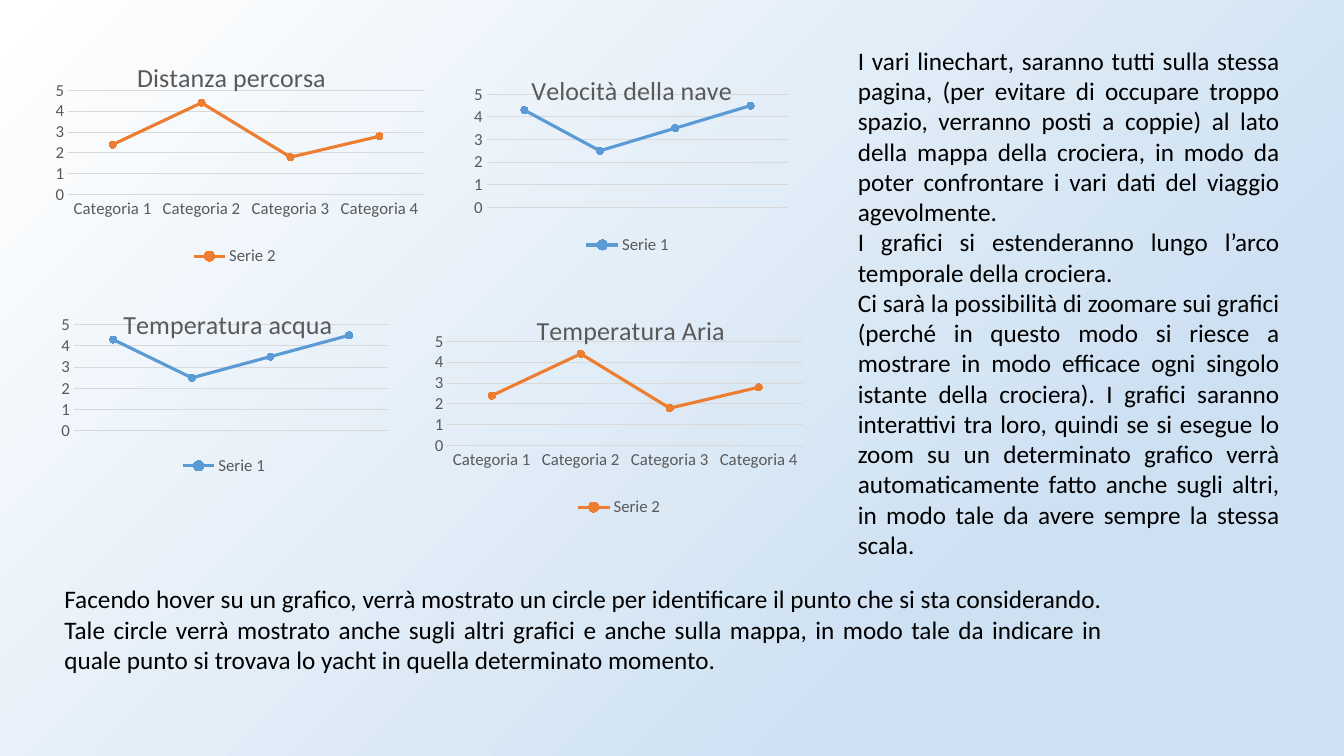
from lxml import etree
from pptx import Presentation
from pptx.chart.data import CategoryChartData
from pptx.dml.color import RGBColor
from pptx.enum.chart import XL_CHART_TYPE, XL_LEGEND_POSITION, XL_MARKER_STYLE, XL_TICK_MARK
from pptx.enum.text import MSO_AUTO_SIZE, PP_ALIGN
from pptx.oxml import parse_xml
from pptx.oxml.ns import nsdecls, qn
from pptx.util import Inches, Pt

LINE_MARKERS = XL_CHART_TYPE.LINE_MARKERS
BOTTOM = XL_LEGEND_POSITION.BOTTOM
CIRCLE = XL_MARKER_STYLE.CIRCLE
NO_TICK = XL_TICK_MARK.NONE
JUSTIFY = PP_ALIGN.JUSTIFY
FIT_TEXT = MSO_AUTO_SIZE.SHAPE_TO_FIT_TEXT

WHITE = RGBColor(0xFF, 0xFF, 0xFF)
PALE_BLUE = RGBColor(0xCE, 0xE1, 0xF2)
BLACK = RGBColor(0, 0, 0)
GREY = RGBColor(0x59, 0x59, 0x59)
GRID_GREY = RGBColor(0xD9, 0xD9, 0xD9)
ORANGE = RGBColor(0xED, 0x7D, 0x31)
BLUE = RGBColor(0x5B, 0x9B, 0xD5)
FONT = "Calibri"

# Each kind: series name, values, colour, categories, category axis shown
LABELLED = ("Serie 2", (2.4, 4.4, 1.8, 2.8), ORANGE,
            [f"Categoria {n}" for n in range(1, 5)], True)
UNLABELLED = ("Serie 1", (4.3, 2.5, 3.5, 4.5), BLUE, ["1", "2", "3", "4"], False)

# Title, kind, box in inches, title corner and plot box as shares of the chart
CHARTS = [
    ("Distanza percorsa", LABELLED, (0.45, 0.45, 3.76, 2.23),
     (0.23, 0.04), (0.07, 0.2, 0.94, 0.465)),
    ("Velocità della nave", UNLABELLED, (4.5, 0.51, 3.45, 2.06),
     (0.21, 0.08), (0.095, 0.207, 0.867, 0.544)),
    ("Temperatura acqua", UNLABELLED, (0.42, 2.82, 3.6, 1.94),
     (0.21, 0.09), (0.087, 0.207, 0.867, 0.544)),
    ("Temperatura Aria", LABELLED, (4.26, 2.94, 3.76, 2.23),
     (0.27, 0.05), (0.047, 0.2, 0.939, 0.465)),
]

DESCRIPTION = [
    "I vari linechart, saranno tutti sulla stessa pagina, (per evitare di occupare "
    "troppo spazio, verranno posti a coppie) al lato della mappa della crociera, in "
    "modo da poter confrontare i vari dati del viaggio agevolmente.",
    "I grafici si estenderanno lungo l’arco temporale della crociera.",
    "Ci sarà la possibilità di zoomare sui grafici (perché in questo modo si riesce a "
    "mostrare in modo efficace ogni singolo istante della crociera). I grafici saranno "
    "interattivi tra loro, quindi se si esegue lo zoom su un determinato grafico verrà "
    "automaticamente fatto anche sugli altri, in modo tale da avere sempre la stessa scala.",
]
HOVER_NOTE = [
    "Facendo hover su un grafico, verrà mostrato un circle per identificare il punto "
    "che si sta considerando. Tale circle verrà mostrato anche sugli altri grafici e "
    "anche sulla mappa, in modo tale da indicare in quale punto si trovava lo yacht in "
    "quella determinato momento.",
]


def set_font(font, size, color):
    font.name = FONT
    font.size = Pt(size)
    font.bold = False
    font.color.rgb = color


def set_layout(parent, index, **settings):
    """Place a chart part by hand, as shares of the chart."""
    for old_layout in parent.findall(qn("c:layout")):
        parent.remove(old_layout)
    layout = etree.Element(qn("c:layout"))
    manual = etree.SubElement(layout, qn("c:manualLayout"))
    for name, value in settings.items():
        etree.SubElement(manual, qn(f"c:{name}")).set("val", str(value))
    parent.insert(index, layout)


def no_fill():
    return parse_xml(f'<c:spPr {nsdecls("c", "a")}><a:noFill/>'
                     '<a:ln><a:noFill/></a:ln></c:spPr>')


def paint_background(slide):
    fill = slide.background.fill
    fill.gradient()
    fill.gradient_angle = 315
    for stop, position, color in zip(fill.gradient_stops, (0, 0.75), (WHITE, PALE_BLUE)):
        stop.position = position
        stop.color.rgb = color


def add_text(slide, box, paragraphs):
    shape = slide.shapes.add_textbox(*map(Inches, box))
    text_frame = shape.text_frame
    text_frame.word_wrap = True
    text_frame.auto_size = FIT_TEXT
    text_frame.text = "\n".join(paragraphs)
    for paragraph in text_frame.paragraphs:
        paragraph.alignment = JUSTIFY
        set_font(paragraph.runs[0].font, 18, BLACK)


def add_line_chart(slide, title, kind, box, title_corner, plot_box):
    series_name, values, color, categories, show_categories = kind
    data = CategoryChartData()
    data.categories = categories
    data.add_series(series_name, values)
    chart = slide.shapes.add_chart(LINE_MARKERS, *map(Inches, box), data).chart
    set_font(chart.font, 10, BLACK)

    # Title
    chart.has_title = True
    chart.chart_title.text_frame.text = title
    set_font(chart.chart_title.text_frame.paragraphs[0].runs[0].font, 18.6, GREY)
    x, y = title_corner
    set_layout(chart.chart_title._element, 1, xMode="edge", yMode="edge", x=x, y=y)

    # Legend
    chart.has_legend = True
    chart.legend.position = BOTTOM
    chart.legend.include_in_layout = False
    set_font(chart.legend.font, 12, GREY)

    # Axes
    value_axis, category_axis = chart.value_axis, chart.category_axis
    for axis in (value_axis, category_axis):
        axis.major_tick_mark = axis.minor_tick_mark = NO_TICK
        set_font(axis.tick_labels.font, 12, GREY)
    value_axis.minimum_scale, value_axis.maximum_scale = 0, 5
    value_axis.major_unit = 1
    value_axis.format.line.fill.background()
    category_axis.visible = show_categories
    for line in (value_axis.major_gridlines.format.line, category_axis.format.line):
        line.color.rgb = GRID_GREY
        line.width = Pt(0.75)

    # Series
    plot = chart.plots[0]
    plot.vary_by_categories = False
    series = plot.series[0]
    series.smooth = False
    series.format.line.color.rgb = color
    series.format.line.width = Pt(2.25)
    series.marker.style = CIRCLE
    series.marker.size = 5
    series.marker.format.fill.solid()
    series.marker.format.fill.fore_color.rgb = color
    series.marker.format.line.color.rgb = color

    # Plot area and transparent backgrounds
    chart_element = chart._chartSpace.find(qn("c:chart"))
    plot_area = chart_element.find(qn("c:plotArea"))
    x, y, width, height = plot_box
    set_layout(plot_area, 0, layoutTarget="inner", xMode="edge", yMode="edge",
               x=x, y=y, w=width, h=height)
    plot_area.append(no_fill())
    chart_element.addnext(no_fill())


def main():
    presentation = Presentation()
    presentation.slide_width = Inches(13.33)
    presentation.slide_height = Inches(7.5)
    slide = presentation.slides.add_slide(presentation.slide_layouts[6])
    paint_background(slide)
    add_text(slide, (8.41, 0.4, 4.38, 5.55), DESCRIPTION)
    for chart_settings in CHARTS:
        add_line_chart(slide, *chart_settings)
    add_text(slide, (0.54, 5.74, 10.49, 1.31), HOVER_NOTE)
    presentation.save("out.pptx")


if __name__ == "__main__":
    main()
